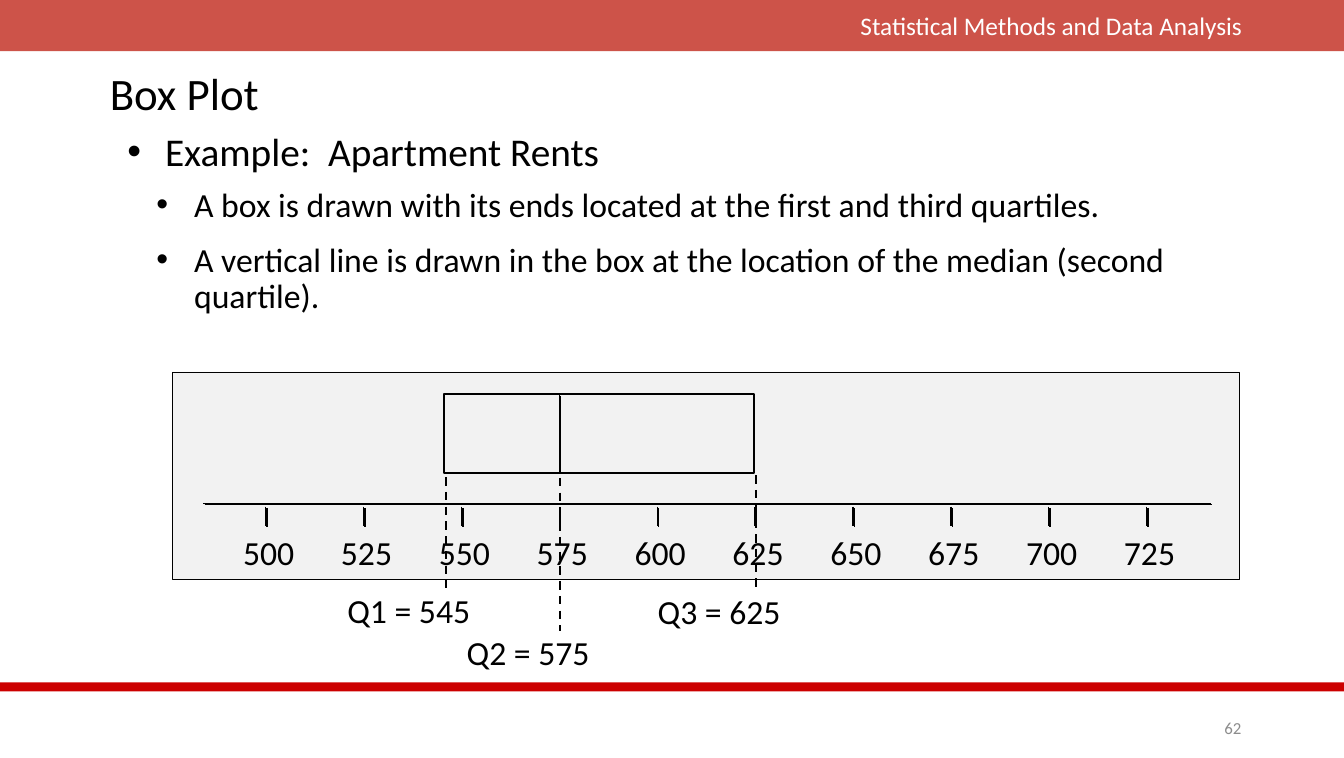
from lxml import etree
from pptx import Presentation
from pptx.dml.color import RGBColor
from pptx.enum.dml import MSO_LINE
from pptx.enum.shapes import MSO_CONNECTOR, MSO_SHAPE
from pptx.enum.text import MSO_ANCHOR, PP_ALIGN
from pptx.oxml.ns import qn
from pptx.util import Cm, Pt

RECTANGLE, STRAIGHT, DASH = MSO_SHAPE.RECTANGLE, MSO_CONNECTOR.STRAIGHT, MSO_LINE.DASH
TOP, MIDDLE = MSO_ANCHOR.TOP, MSO_ANCHOR.MIDDLE
LEFT, CENTER, RIGHT = PP_ALIGN.LEFT, PP_ALIGN.CENTER, PP_ALIGN.RIGHT

BLACK = RGBColor(0x00, 0x00, 0x00)
WHITE = RGBColor(0xFF, 0xFF, 0xFF)
BANNER_RED = RGBColor(0xBF, 0x23, 0x17)
RULE_RED = RGBColor(0xCC, 0x00, 0x00)
PANEL_GRAY = RGBColor(0xF2, 0xF2, 0xF2)
NUMBER_GRAY = RGBColor(0x8C, 0x8C, 0x8C)
FONT = "Calibri"

# Content
COURSE = "Statistical Methods and Data Analysis"
TITLE = "Box Plot"
PAGE_NUMBER = "62"
# text, left, top, width, height, size, line spacing, space before
BULLETS = [
    ("Example:  Apartment Rents", 2.95, 3.1, 23.29, 1.37, 28, 1.0, 0),
    ("A box is drawn with its ends located at the first and third quartiles.",
     3.68, 4.32, 27.81, 1.73, 24, 0.9, 4.8),
    ("A vertical line is drawn in the box at the location of the median (second quartile).",
     3.68, 5.56, 27.81, 2.92, 24, 0.9, 4.8),
]
RENTS = range(500, 726, 25)
Q1, Q2, Q3 = 545, 575, 625
# name, value, guide x, guide top, guide bottom, label left, label top
QUARTILES = [
    ("Q1", Q1, 11.21, 11.99, 14.78, 8.46, 14.71),
    ("Q2", Q2, 14.07, 12.01, 15.85, 11.46, 15.75),
    ("Q3", Q3, 19.0, 11.94, 14.81, 16.26, 14.73),
]

# Layout in centimetres
PAGE_WIDTH, PAGE_HEIGHT = 33.78, 19.05
FIRST_TICK, CM_PER_RENT = 6.68, 0.0984
AXIS_Y, TICK_TOP, TICK_BOTTOM = 12.65, 12.73, 13.22
BOX_LEFT, BOX_TOP, BOX_WIDTH, BOX_HEIGHT = 11.15, 9.91, 7.8, 1.98

deck = Presentation()
deck.slide_width, deck.slide_height = Cm(PAGE_WIDTH), Cm(PAGE_HEIGHT)
page = deck.slides.add_slide(deck.slide_layouts[6])


def rent_x(rent):
    return FIRST_TICK + (rent - RENTS[0]) * CM_PER_RENT


def add_rectangle(left, top, width, height, fill=None, line_width=None):
    box = page.shapes.add_shape(RECTANGLE, Cm(left), Cm(top), Cm(width), Cm(height))
    box.shadow.inherit = False
    if fill is None:
        box.fill.background()
    else:
        box.fill.solid()
        box.fill.fore_color.rgb = fill
    if line_width is None:
        box.line.fill.background()
    else:
        box.line.color.rgb = BLACK
        box.line.width = Pt(line_width)
    return box


def add_text(text, left, top, width, height, size, color=BLACK,
             align=LEFT, anchor=TOP, wrap=True):
    box = page.shapes.add_textbox(Cm(left), Cm(top), Cm(width), Cm(height))
    box.text_frame.word_wrap = wrap
    box.text_frame.vertical_anchor = anchor
    para = box.text_frame.paragraphs[0]
    para.alignment = align
    span = para.add_run()
    span.text = text
    span.font.name, span.font.size = FONT, Pt(size)
    span.font.color.rgb = color
    return para


def add_bullet(text, left, top, width, height, size, spacing, before):
    para = add_text(text, left, top, width, height, size, anchor=MIDDLE)
    para.line_spacing, para.space_before = spacing, Pt(before)
    properties = para._p.get_or_add_pPr()
    properties.set("marL", str(Cm(0.95)))
    properties.set("indent", str(-Cm(0.95)))
    etree.SubElement(properties, qn("a:buFont"), typeface="Arial")
    etree.SubElement(properties, qn("a:buChar"), char="•")


def add_line(x1, y1, x2, y2, width=1, dash=None, shadow=True):
    line = page.shapes.add_connector(STRAIGHT, Cm(x1), Cm(y1), Cm(x2), Cm(y2))
    line.line.color.rgb = BLACK
    line.line.width = Pt(width)
    if dash is not None:
        line.line.dash_style = dash
    effects = etree.SubElement(line._element.spPr, qn("a:effectLst"))
    if shadow:
        outer = etree.SubElement(effects, qn("a:outerShdw"), blurRad="0",
                                 dist=str(Pt(1.4)), dir="2700000")
        etree.SubElement(outer, qn("a:srgbClr"), val=str(BLACK))


# Banner, footer rule and page number
banner = add_rectangle(0, 0, PAGE_WIDTH, 1.29, BANNER_RED)
banner_color = banner.fill._xPr.find(qn("a:solidFill"))[0]
etree.SubElement(banner_color, qn("a:alpha"), val="78000")
add_text(COURSE, 15.42, 0.13, 16.05, 1.02, 18, WHITE, RIGHT)
add_rectangle(0, 17.15, PAGE_WIDTH, 0.23, RULE_RED)
add_text(PAGE_NUMBER, 29.72, 17.91, 1.73, 0.76, 12, NUMBER_GRAY, RIGHT, MIDDLE)

# Title and bullets
add_text(TITLE, 2.51, 1.27, 28.73, 2.11, 32, anchor=MIDDLE)
for bullet in BULLETS:
    add_bullet(*bullet)

# Panel with the rent axis
add_rectangle(4.33, 9.35, 26.82, 5.21, PANEL_GRAY, 0.5)
add_line(5.11, AXIS_Y, 30.43, AXIS_Y)
for rent in RENTS:
    tick_x = rent_x(rent)
    add_line(tick_x, TICK_TOP, tick_x, TICK_BOTTOM)
    add_text(str(rent), tick_x - 0.82, 13.23, 2.5, 1.27, 24)

# Box from Q1 to Q3 with the median line
add_rectangle(BOX_LEFT, BOX_TOP, BOX_WIDTH, BOX_HEIGHT, line_width=1.5)
add_line(rent_x(Q2), BOX_TOP, rent_x(Q2), BOX_TOP + BOX_HEIGHT)

# Quartile guides and labels
for name, value, guide_x, guide_top, guide_bottom, label_left, label_top in QUARTILES:
    add_line(guide_x, guide_top, guide_x, guide_bottom, 1.5, DASH, shadow=False)
    add_text(f"{name} = {value}", label_left, label_top, 3.63, 1.27, 24,
             align=CENTER, wrap=False)

deck.save("out.pptx")
